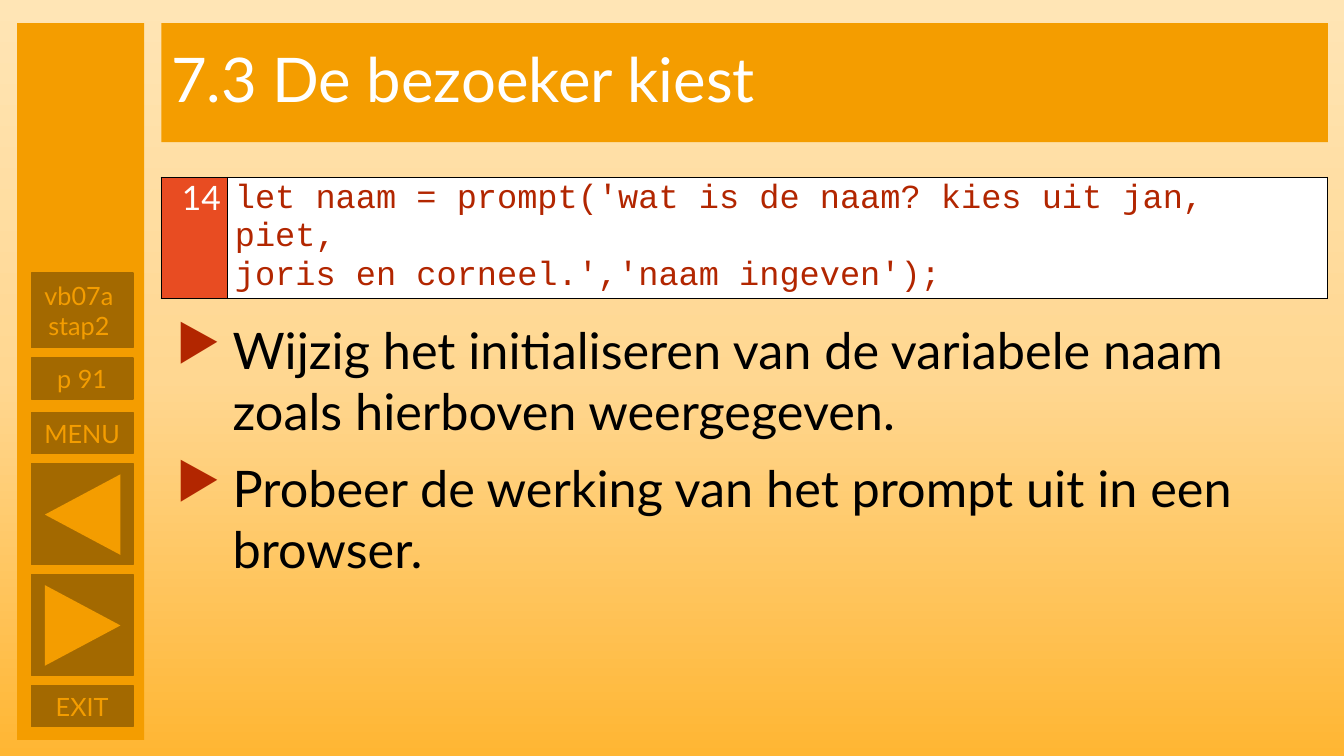
from copy import deepcopy

from lxml.etree import SubElement
from pptx import Presentation
from pptx.dml.color import RGBColor
from pptx.enum.shapes import MSO_SHAPE
from pptx.enum.text import MSO_ANCHOR, PP_ALIGN
from pptx.oxml.ns import qn
from pptx.util import Inches, Pt

COLORS = {
    "orange": "F49D00",
    "brown": "A36900",
    "red": "E84C22",
    "dark red": "B22600",
    "white": "FFFFFF",
    "black": "000000",
    "sky top": "FFE5B5",
    "sky middle": "FFD791",
    "sky bottom": "FFB633",
}
BUTTON_LEFT, BUTTON_WIDTH = 0.31, 1.01
LABELS = [
    ("vb07a \nstap2 ", 2.71, 0.74),
    ("p 91", 3.55, 0.41),
    ("MENU", 4.09, 0.41),
    ("EXIT", 6.8, 0.41),
]
ARROWS = [(4.6, 270), (5.7, 90)]
CODE = "let naam = prompt('wat is de naam? kies uit jan, piet, \njoris en corneel.','naam ingeven');"
STEPS = [
    "Wijzig het initialiseren van de variabele naam zoals hierboven weergegeven.",
    "Probeer de werking van het prompt uit in een browser.",
]


def rgb(name):
    """Return the named colour."""
    return RGBColor.from_string(COLORS[name])


def paint_background(page):
    """Fill the page with a vertical three-stop gradient."""
    fill = page.background.fill
    fill.gradient()
    fill.gradient_angle = 270
    stop_list = page.element.find(".//" + qn("a:gsLst"))
    stop_list.insert(1, deepcopy(stop_list[0]))
    names = ("sky top", "sky middle", "sky bottom")
    for stop, name, position in zip(fill.gradient_stops, names, (0, 0.5, 1)):
        stop.color.rgb = rgb(name)
        stop.position = position


def write(paragraph, text, size, color, align=PP_ALIGN.LEFT, font="Lato"):
    """Set the text and look of a paragraph."""
    paragraph.text = text
    paragraph.alignment = align
    paragraph.font.size = Pt(size)
    paragraph.font.name = font
    paragraph.font.color.rgb = rgb(color)


def add_block(page, left, top, width, height, color, kind=MSO_SHAPE.RECTANGLE, outlined=False):
    """Add a flat filled shape, with an outline in its own colour if asked."""
    block = page.shapes.add_shape(kind, Inches(left), Inches(top), Inches(width), Inches(height))
    block.shadow.inherit = False
    block.fill.solid()
    block.fill.fore_color.rgb = rgb(color)
    if outlined:
        block.line.color.rgb = rgb(color)
        block.line.width = Pt(1)
    else:
        block.line.fill.background()
    return block


def add_title(page, text):
    """Add the title bar."""
    bar = add_block(page, 1.6, 0.23, 11.57, 1.18, "orange")
    bar.text_frame.word_wrap = True
    bar.text_frame.vertical_anchor = MSO_ANCHOR.MIDDLE
    paragraph = bar.text_frame.paragraphs[0]
    write(paragraph, text, 44, "white")
    paragraph.line_spacing = 0.9


def add_button(page, top, height):
    """Add an empty navigation button."""
    return add_block(page, BUTTON_LEFT, top, BUTTON_WIDTH, height, "brown", outlined=True)


def add_label_button(page, text, top, height):
    """Add a navigation button with a label."""
    frame = add_button(page, top, height).text_frame
    frame.word_wrap = True
    frame.vertical_anchor = MSO_ANCHOR.MIDDLE
    write(frame.paragraphs[0], text, 18, "orange", PP_ALIGN.CENTER)


def add_arrow_button(page, top, rotation):
    """Add a navigation button with a turned triangle."""
    add_button(page, top, 1)
    triangle = add_block(page, 0.42, top + 0.13, 0.8, 0.75, "orange", MSO_SHAPE.ISOSCELES_TRIANGLE)
    triangle.rotation = rotation


def add_bullet(paragraph):
    """Give a paragraph a hanging triangle bullet."""
    properties = paragraph._p.get_or_add_pPr()
    properties.set("marL", str(Inches(0.56)))
    properties.set("indent", str(-Inches(0.56)))
    color = SubElement(properties, qn("a:buClr"))
    SubElement(color, qn("a:srgbClr"), val=COLORS["dark red"])
    SubElement(properties, qn("a:buChar"), char="▶")


def add_steps(page, steps):
    """Add the bulleted list of steps."""
    box = page.shapes.add_textbox(Inches(1.65), Inches(3.12), Inches(11.46), Inches(2.69))
    frame = box.text_frame
    frame.word_wrap = True
    for index, step in enumerate(steps):
        paragraph = frame.add_paragraph() if index else frame.paragraphs[0]
        add_bullet(paragraph)
        write(paragraph, step, 36, "black")
        paragraph.space_before = Pt(12)


def style_cell(cell, color):
    """Give a cell thin black borders, tight margins and a fill."""
    properties = cell._tc.get_or_add_tcPr()
    for side in ("lnL", "lnR", "lnT", "lnB"):
        border = SubElement(properties, qn(f"a:{side}"), w=str(Pt(1)))
        fill = SubElement(border, qn("a:solidFill"))
        SubElement(fill, qn("a:srgbClr"), val=COLORS["black"])
    cell.fill.solid()
    cell.fill.fore_color.rgb = rgb(color)
    cell.margin_left = cell.margin_right = Inches(0.07)
    cell.margin_top = cell.margin_bottom = 0


def add_code_line(page, number, code):
    """Add the table with a line number and its code."""
    frame = page.shapes.add_table(1, 2, Inches(1.6), Inches(1.76), Inches(11.57), Inches(1.19))
    table = frame.table
    table.first_row = table.horz_banding = False
    table.columns[0].width = Inches(0.66)
    table.columns[1].width = Inches(10.91)
    number_cell, code_cell = table.cell(0, 0), table.cell(0, 1)
    style_cell(number_cell, "red")
    style_cell(code_cell, "white")
    code_cell.vertical_anchor = MSO_ANCHOR.MIDDLE
    write(number_cell.text_frame.paragraphs[0], number, 24, "white", PP_ALIGN.RIGHT)
    write(code_cell.text_frame.paragraphs[0], code, 24, "dark red", font="Courier New")


def main():
    """Build and save the slide."""
    deck = Presentation()
    deck.slide_width, deck.slide_height = Inches(13.33), Inches(7.5)
    page = deck.slides.add_slide(deck.slide_layouts[6])
    paint_background(page)
    add_title(page, "7.3\tDe bezoeker kiest")
    add_block(page, 0.17, 0.23, 1.26, 7.11, "orange")
    for text, top, height in LABELS:
        add_label_button(page, text, top, height)
    for top, rotation in ARROWS:
        add_arrow_button(page, top, rotation)
    add_steps(page, STEPS)
    add_code_line(page, "14", CODE)
    deck.save("out.pptx")


if __name__ == "__main__":
    main()
